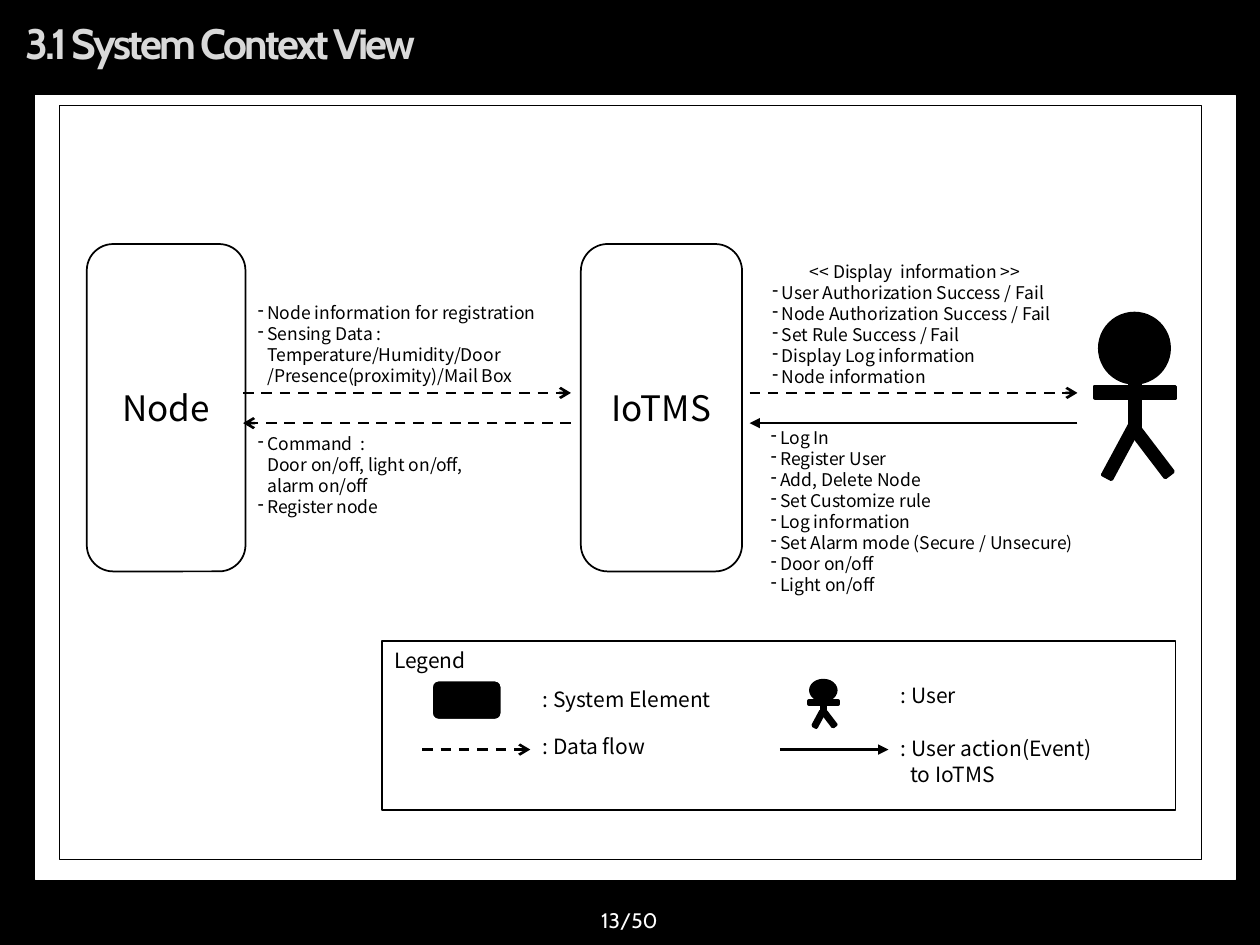
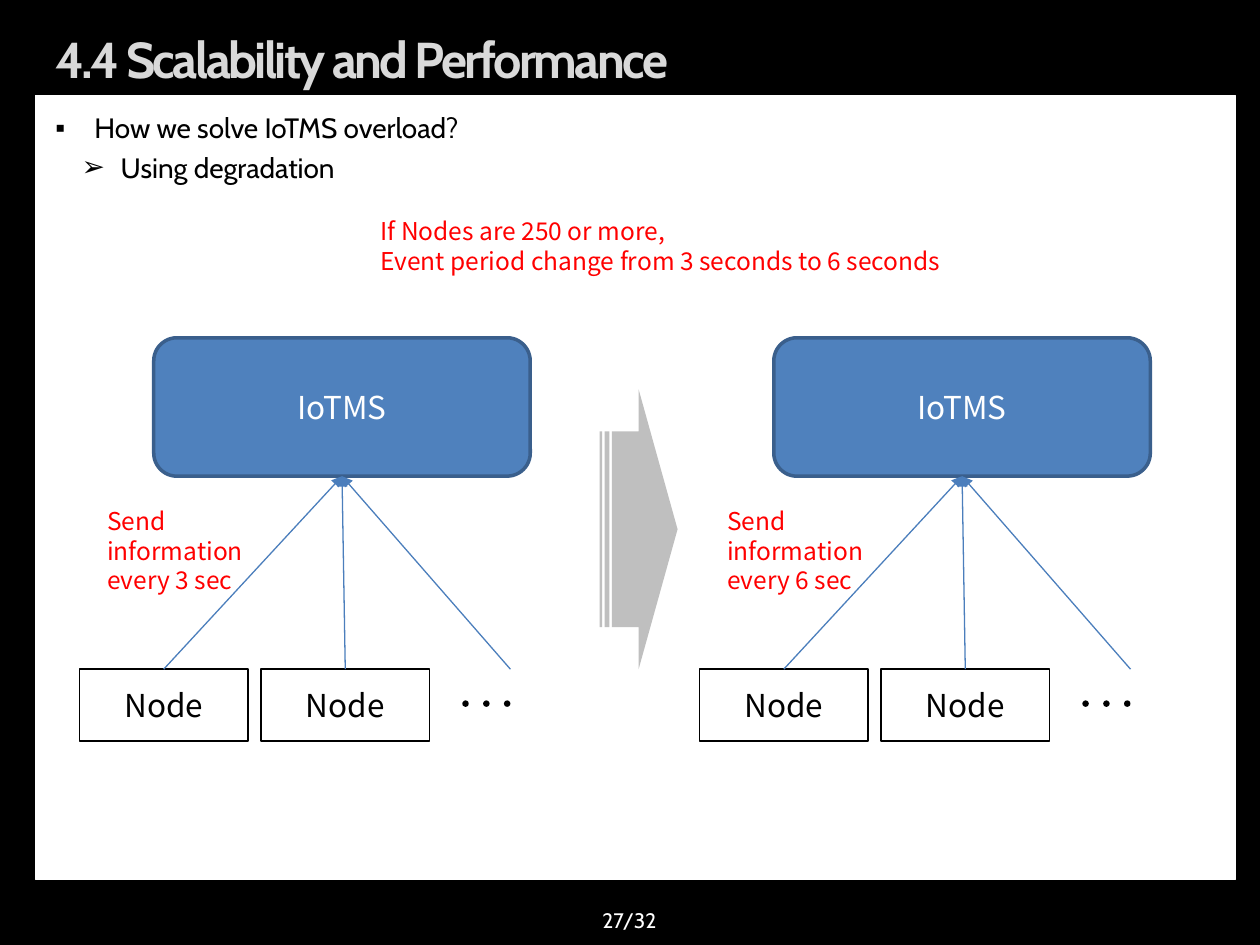
from lxml.etree import SubElement
from pptx import Presentation
from pptx.dml.color import RGBColor
from pptx.enum.dml import MSO_LINE
from pptx.enum.shapes import MSO_CONNECTOR, MSO_SHAPE as Shape
from pptx.enum.text import MSO_ANCHOR, MSO_AUTO_SIZE, PP_ALIGN
from pptx.oxml.ns import qn
from pptx.util import Cm, Pt

BLACK = RGBColor(0x00, 0x00, 0x00)
WHITE = RGBColor(0xFF, 0xFF, 0xFF)
TITLE_GREY = RGBColor(0xD9, 0xD9, 0xD9)
ARROW_GREY = RGBColor(0xBF, 0xBF, 0xBF)
BLUE = RGBColor(0x4F, 0x81, 0xBD)
DARK_BLUE = RGBColor(0x3A, 0x5F, 0x8C)
LINE_BLUE = RGBColor(0x4B, 0x7E, 0xBC)
RED = RGBColor(0xFF, 0x00, 0x00)
TITLE_FONT = "Cabin"
TEXT_FONT = "Noto Sans CJK KR"

PANEL = (0.71, 1.93, 24.2, 15.8)
PAGE_BOX = (9.73, 18.03, 5.92, 1.02)
HANG = 0.19

CONTEXT = {"title": "3.1 System Context View", "page": "13/50",
           "title_box": (0.25, 0.25, 24.9, 1.2), "title_size": 24.3}
SCALABILITY = {"title": "4.4 Scalability and Performance", "page": "27/32",
               "title_box": (0.86, 0.53, 23.2, 1.3), "title_size": 28.8}

CONTEXT_FRAME = (1.2, 2.13, 23.01, 15.19)
LEGEND_FRAME = (7.7, 12.93, 16, 3.4)
SYSTEM_ELEMENTS = [("IoTMS", (11.71, 4.92, 3.25, 6.6)), ("Node", (1.75, 4.92, 3.2, 6.6))]
LEGEND_ELEMENT = (8.71, 13.72, 1.4, 0.79)

FLOWS = [
    ((4.9, 7.92), (11.51, 7.92), True),
    ((11.51, 8.53), (4.9, 8.53), True),
    ((15.11, 7.92), (21.72, 7.92), True),
    ((21.72, 8.53), (15.11, 8.53), False),
    ((8.51, 15.11), (10.69, 15.11), True),
    ((15.72, 15.11), (17.91, 15.11), False),
]

MESSAGES = [
    ((4.95, 5.97, 7.19, 1.96), None,
     ["Node information for registration",
      "Sensing Data :\vTemperature/Humidity/Door\v/Presence(proximity)/Mail Box"]),
    ((4.95, 8.61, 6.2, 1.96), None,
     ["Command  :\vDoor on/off, light on/off,\valarm on/off", "Register node"]),
    ((15.32, 5.13, 6.25, 2.82), "<< Display  information >>",
     ["User Authorization Success / Fail", "Node Authorization Success / Fail",
      "Set Rule Success / Fail", "Display Log information", "Node information"]),
    ((15.29, 8.48, 6.86, 3.68), None,
     ["Log In", "Register User", "Add, Delete Node", "Set Customize rule",
      "Log information", "Set Alarm mode (Secure / Unsecure)", "Door on/off",
      "Light on/off"]),
]

LEGEND_LABELS = [
    ((7.7, 12.93, 4, 0.77), "Legend", 0),
    ((10.69, 13.72, 4, 0.77), ": System Element", 0),
    ((10.69, 14.66, 4, 0.77), ": Data flow", 0),
    ((17.91, 13.64, 4, 0.77), ": User", 0),
    ((17.91, 14.71, 5.21, 1.28), ": User action(Event)\vto IoTMS", HANG),
]

USER_PARTS = [
    (Shape.OVAL, (0.1, 0, 1.4, 1.4), 0),
    (Shape.RECTANGLE, (0.71, 1.4, 0.2, 0.99), 0),
    (Shape.RECTANGLE, (0, 1.47, 1.63, 0.23), 0),
    (Shape.RECTANGLE, (0.43, 2.18, 0.2, 1.19), 28.3),
    (Shape.RECTANGLE, (1.04, 2.18, 0.2, 1.19), 322.7),
]
USERS = [((22.07, 6.32), (1, 1)), ((16.31, 13.72), (0.36, 0.28))]

BODY_BOX = (0.86, 2.11, 23.65, 15.42)
QUESTIONS = [("How we solve IoTMS overload?", 0, 0.79, "▪"),
             ("Using degradation", 1, 1.32, "➢")]
RULE_BOX = (7.42, 4.24, 12.4, 1.45)
RULE = ["If Nodes are 250 or more,", "Event period change from 3 seconds to 6 seconds"]
CHANGE_ARROW = (12.09, 7.85, 1.57, 5.64)
CLUSTERS = [(0, "every 3 sec"), (12.5, "every 6 sec")]


def lengths(box):
    return [Cm(value) for value in box]


def indent(paragraph, margin, hanging, bullet=None):
    properties = paragraph._p.get_or_add_pPr()
    properties.set("marL", str(Cm(margin)))
    properties.set("indent", str(-Cm(hanging)))
    if bullet:
        SubElement(properties, qn("a:buChar")).set("char", bullet)


def style(paragraph, size, color, font=TEXT_FONT, align=PP_ALIGN.LEFT):
    paragraph.alignment = align
    if font == TEXT_FONT:
        paragraph.line_spacing = Pt(round(size * 1.2, 1))
    paragraph.font.name = font
    paragraph.font.size = Pt(size)
    paragraph.font.color.rgb = color


def add_paragraphs(frame, texts):
    for number, text in enumerate(texts):
        paragraph = frame.add_paragraph() if number else frame.paragraphs[0]
        paragraph.text = text
        yield paragraph


def add_text(slide, box, texts):
    frame = slide.shapes.add_textbox(*lengths(box)).text_frame
    frame.word_wrap = True
    return list(add_paragraphs(frame, texts))


def add_block(shapes, kind, box, fill, line=None, weight=1.0, text=None, size=18, color=BLACK):
    shape = shapes.add_shape(kind, *lengths(box))
    shape.shadow.inherit = False
    shape.fill.solid()
    shape.fill.fore_color.rgb = fill
    if line is None:
        shape.line.fill.background()
    else:
        shape.line.color.rgb = line
        shape.line.width = Pt(weight)
    if text:
        shape.text_frame.vertical_anchor = MSO_ANCHOR.MIDDLE
        paragraph = shape.text_frame.paragraphs[0]
        paragraph.text = text
        style(paragraph, size, color, align=PP_ALIGN.CENTER)
    return shape


def add_arrow(slide, start, end, color, weight, head="triangle", dashed=False):
    connector = slide.shapes.add_connector(MSO_CONNECTOR.STRAIGHT, *lengths(start + end))
    connector.line.color.rgb = color
    connector.line.width = Pt(weight)
    if dashed:
        connector.line.dash_style = MSO_LINE.DASH
    properties = connector._element.spPr
    SubElement(properties.find(qn("a:ln")), qn("a:tailEnd")).set("type", head)
    SubElement(properties, qn("a:effectLst"))
    return connector


def place(placeholder, box):
    placeholder.left, placeholder.top, placeholder.width, placeholder.height = lengths(box)
    placeholder.text_frame.auto_size = MSO_AUTO_SIZE.NONE


def add_slide(presentation, layout, content):
    slide = presentation.slides.add_slide(presentation.slide_layouts[layout])
    slide.background.fill.solid()
    slide.background.fill.fore_color.rgb = BLACK
    panel = add_block(slide.shapes, Shape.RECTANGLE, PANEL, WHITE, WHITE, 0.75)
    slide.shapes._spTree.insert(2, panel._element)

    title = slide.shapes.title
    place(title, content["title_box"])
    title.text_frame.vertical_anchor = MSO_ANCHOR.MIDDLE
    paragraph = title.text_frame.paragraphs[0]
    paragraph.text = content["title"]
    style(paragraph, content["title_size"], TITLE_GREY, TITLE_FONT)
    paragraph.font.bold = True
    paragraph.runs[0]._r.get_or_add_rPr().set("spc", "-150")

    page = add_text(slide, PAGE_BOX, [content["page"]])[0]
    style(page, 12, WHITE, TITLE_FONT, PP_ALIGN.CENTER)
    slide.shapes[-1].text_frame.vertical_anchor = MSO_ANCHOR.MIDDLE
    return slide


def add_user(slide, origin, scale):
    group = slide.shapes.add_group_shape()
    for kind, (left, top, width, height), rotation in USER_PARTS:
        box = (origin[0] + left * scale[0], origin[1] + top * scale[1],
               width * scale[0], height * scale[1])
        part = add_block(group.shapes, kind, box, BLACK, BLACK, 2)
        part.rotation = rotation


def build_context(presentation):
    slide = add_slide(presentation, 5, CONTEXT)
    add_block(slide.shapes, Shape.RECTANGLE, CONTEXT_FRAME, WHITE, BLACK, 0.25)
    for name, box in SYSTEM_ELEMENTS:
        add_block(slide.shapes, Shape.ROUNDED_RECTANGLE, box, WHITE, BLACK, 1, name, 20)
    add_block(slide.shapes, Shape.RECTANGLE, LEGEND_FRAME, WHITE, BLACK)
    add_block(slide.shapes, Shape.ROUNDED_RECTANGLE, LEGEND_ELEMENT, BLACK, WHITE)
    for start, end, is_data in FLOWS:
        add_arrow(slide, start, end, BLACK, 1.5, "arrow" if is_data else "triangle", is_data)
    for box, heading, items in MESSAGES:
        paragraphs = add_text(slide, box, [heading] + items if heading else items)
        if heading:
            style(paragraphs.pop(0), 10, BLACK, align=PP_ALIGN.CENTER)
        for paragraph in paragraphs:
            indent(paragraph, HANG, HANG, "-")
            style(paragraph, 10, BLACK)
    for origin, scale in USERS:
        add_user(slide, origin, scale)
    for box, text, hanging in LEGEND_LABELS:
        paragraph = add_text(slide, box, [text])[0]
        indent(paragraph, hanging, hanging)
        style(paragraph, 12, BLACK)


def add_red_text(slide, box, lines):
    for paragraph in add_text(slide, box, lines):
        style(paragraph, 14, RED)


def add_cluster(slide, offset, period):
    server = add_block(slide.shapes, Shape.ROUNDED_RECTANGLE, (offset + 3.1, 6.81, 7.59, 2.79),
                       BLUE, DARK_BLUE, 2, "IoTMS", 18, WHITE)
    nodes = [add_block(slide.shapes, Shape.RECTANGLE,
                       (offset + 1.6 + 3.66 * column, 13.49, 3.4, 1.45),
                       WHITE, BLACK, 0.75, "Node")
             for column in range(2)]
    for column in range(3):
        add_block(slide.shapes, Shape.OVAL,
                  (offset + 9.32 + 0.42 * column, 14.12, 0.13, 0.13), BLACK)
    for node in nodes + [None]:
        arrow = add_arrow(slide, (offset + 10.29, 13.49), (offset + 6.9, 9.6), LINE_BLUE, 0.75)
        if node is not None:
            arrow.begin_connect(node, 0)
        arrow.end_connect(server, 2)
    add_red_text(slide, (offset + 1.91, 10.08, 4.3, 1.45), ["Send information", period])


def build_scalability(presentation):
    slide = add_slide(presentation, 1, SCALABILITY)
    body = slide.placeholders[1]
    place(body, BODY_BOX)
    paragraphs = add_paragraphs(body.text_frame, [question[0] for question in QUESTIONS])
    for paragraph, (_, level, margin, bullet) in zip(paragraphs, QUESTIONS):
        paragraph.level = level
        indent(paragraph, margin, 0.79, bullet)
        style(paragraph, 16, BLACK, TITLE_FONT)
    for offset, period in CLUSTERS:
        add_cluster(slide, offset, period)
    arrow = add_block(slide.shapes, Shape.STRIPED_RIGHT_ARROW, CHANGE_ARROW, ARROW_GREY)
    arrow.adjustments[0] = 0.7
    arrow.adjustments[1] = 0.5
    add_red_text(slide, RULE_BOX, RULE)


def main():
    presentation = Presentation()
    presentation.slide_width = Cm(25.4)
    presentation.slide_height = Cm(19.05)
    build_context(presentation)
    build_scalability(presentation)
    presentation.save("out.pptx")


if __name__ == "__main__":
    main()
